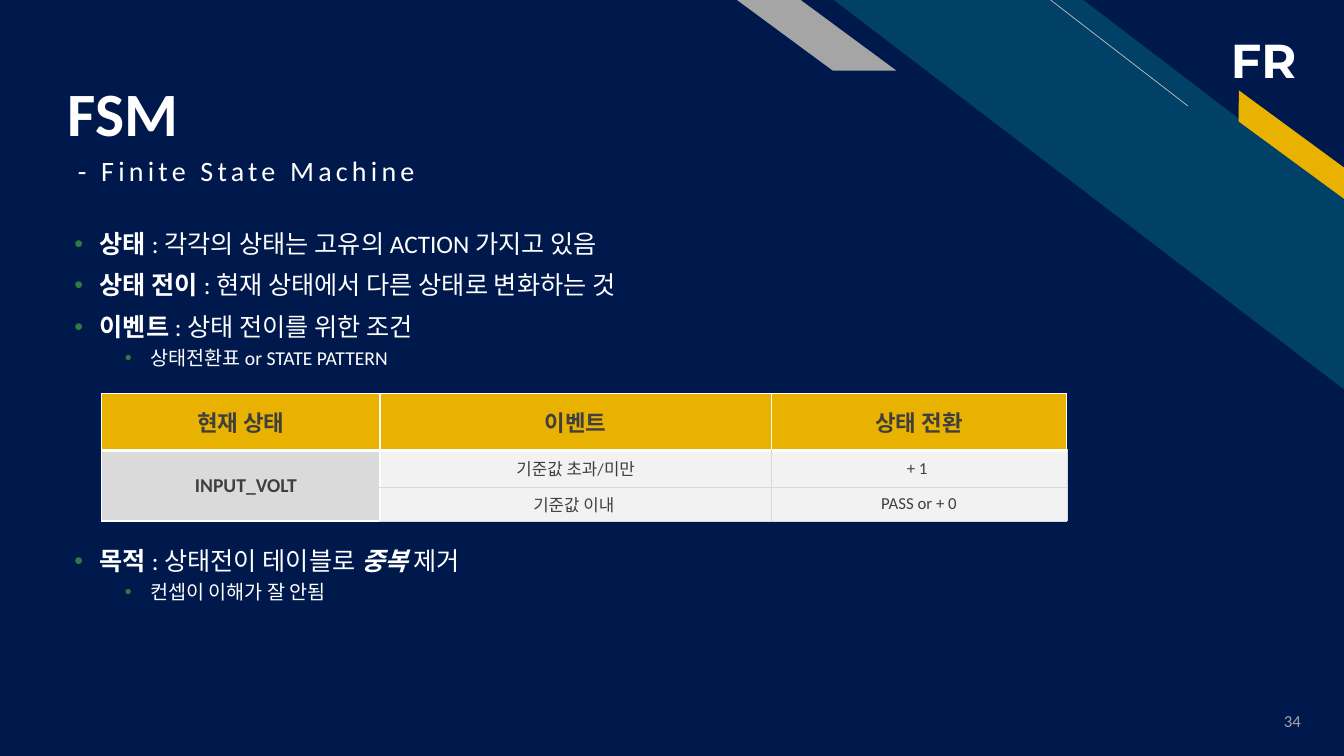
from lxml import etree
from pptx import Presentation
from pptx import util as u
from pptx.dml.color import RGBColor
from pptx.enum import shapes, text
from pptx.oxml.ns import qn

NAVY = RGBColor(0x00, 0x19, 0x4C)
TEAL = RGBColor(0x01, 0x40, 0x67)
GOLD = RGBColor(0xEA, 0xB2, 0x00)
SILVER = RGBColor(0xA5, 0xA5, 0xA5)
LINE_GRAY = RGBColor(0xBF, 0xBF, 0xBF)
BORDER_GRAY = RGBColor(0xD9, 0xD9, 0xD9)
STATE_GRAY = RGBColor(0xDA, 0xDA, 0xDA)
CELL_GRAY = RGBColor(0xF2, 0xF2, 0xF2)
DARK = RGBColor(0x3F, 0x3F, 0x3F)
GREEN = RGBColor(0x2E, 0x7A, 0x40)
WHITE = RGBColor(0xFF, 0xFF, 0xFF)

PRESETS = shapes.MSO_SHAPE
ALIGN = text.PP_ALIGN
ANCHOR = text.MSO_ANCHOR


def add_run(paragraph, words, size, color=WHITE, font="Calibri", bold=False,
            italic=False, tracking=None):
    run = paragraph.add_run()
    run.text = words
    run.font.size = u.Pt(size)
    run.font.name = font
    run.font.bold = bold
    run.font.italic = italic
    run.font.color.rgb = color
    if tracking:
        run.font._element.set("spc", str(tracking * 100))


def add_text_frame(slide, left, top, width, height, anchor=ANCHOR.TOP, wrap=True):
    box = slide.shapes.add_textbox(*map(u.Inches, (left, top, width, height)))
    frame = box.text_frame
    frame.word_wrap = wrap
    frame.vertical_anchor = anchor
    return frame


def add_band(slide, preset, left, top, width, height, color, adjustment, rotation=0):
    """Add a horizontally mirrored, slanted band."""
    band = slide.shapes.add_shape(preset, *map(u.Inches, (left, top, width, height)))
    band.adjustments[0] = adjustment
    band.rotation = rotation
    band.shadow.inherit = False
    band.fill.solid()
    band.fill.fore_color.rgb = color
    band.line.fill.background()
    band._element.spPr.find(qn("a:xfrm")).set("flipH", "1")


def add_corner(slide, left, top):
    """Draw the label and bands of the top right corner."""
    frame = add_text_frame(slide, left + 4.8, top + 0.26, 0.89, 0.67, wrap=False)
    add_run(frame.paragraphs[0], "FR", 34, font="Montserrat", bold=True)
    add_band(slide, PRESETS.DIAGONAL_STRIPE, left + 0.96, top, 5.07, 3.87, TEAL, 0.512)
    line = slide.shapes.add_connector(
        shapes.MSO_CONNECTOR.STRAIGHT,
        *map(u.Inches, (left + 4.47, top + 1.05, left + 3.11, top)))
    line.line.color.rgb = LINE_GRAY
    line.line.width = u.Pt(0.5)
    etree.SubElement(line._element.spPr, qn("a:effectLst"))
    add_band(slide, PRESETS.PARALLELOGRAM, left + 4.76, top + 1.31, 1.48, 0.25,
             GOLD, 0.72, rotation=36.3)
    add_band(slide, PRESETS.PARALLELOGRAM, left, top, 1.58, 0.7, SILVER, 1.356)


def add_heading(slide, left, top, width):
    title = slide.shapes.title
    title.left, title.top, title.width, title.height = map(
        u.Inches, (left, top, width, 1.26))
    frame = title.text_frame
    frame.vertical_anchor = ANCHOR.BOTTOM
    frame.margin_bottom = 0
    paragraph = frame.paragraphs[0]
    paragraph.alignment = ALIGN.LEFT
    paragraph.line_spacing = 0.9
    add_run(paragraph, "FSM", 44, bold=True)

    paragraph = add_text_frame(slide, left, top + 1.28, 8.06, 0.67).paragraphs[0]
    paragraph.line_spacing = 0.9
    add_run(paragraph, " - Finite State Machine", 20, tracking=3)


def add_bullets(slide, left, top, width, height, items):
    """Add bullets given as (level, [(words, format), ...])."""
    frame = add_text_frame(slide, left, top, width, height)
    for index, (level, runs) in enumerate(items):
        paragraph = frame.add_paragraph() if index else frame.paragraphs[0]
        properties = paragraph._element.get_or_add_pPr()
        properties.set("marL", str(u.Inches(0.25 + 0.5 * level)))
        properties.set("indent", str(-u.Inches(0.25)))
        bullet_color = etree.SubElement(properties, qn("a:buClr"))
        etree.SubElement(bullet_color, qn("a:srgbClr"), val=str(GREEN))
        etree.SubElement(properties, qn("a:buFont"), typeface="Arial")
        etree.SubElement(properties, qn("a:buChar"), char="•")
        paragraph.level = level
        paragraph.line_spacing = 0.9
        if index:
            paragraph.space_before = u.Pt(5 if level else 10)
        for words, style in runs:
            add_run(paragraph, words, 14 if level else 18, **style)


def set_borders(cell, **borders):
    """Set borders given as side=(color, points), sides in the order L, R, T, B."""
    properties = cell._tc.get_or_add_tcPr()
    for position, (side, (color, points)) in enumerate(borders.items()):
        line = etree.Element(qn(f"a:ln{side}"), w=str(u.Pt(points)))
        fill = etree.SubElement(line, qn("a:solidFill"))
        etree.SubElement(fill, qn("a:srgbClr"), val=str(color))
        properties.insert(position, line)


def fill_cell(cell, words, row, column):
    header, state = row == 0, column == 0
    cell.fill.solid()
    cell.fill.fore_color.rgb = GOLD if header else STATE_GRAY if state else CELL_GRAY
    cell.vertical_anchor = ANCHOR.MIDDLE
    if words:
        paragraph = cell.text_frame.paragraphs[0]
        paragraph.alignment = ALIGN.CENTER
        size = 16 if header else 14 if state else 12
        add_run(paragraph, words, size, DARK, bold=header or state)

    white, thick, gray = (WHITE, 1), (WHITE, 3), (BORDER_GRAY, 0.25)
    inner = white if header or state else gray
    set_borders(cell,
                L=white if column == 1 else inner,
                R=inner,
                T=thick if row == 1 else inner,
                B=thick if header else inner)


def add_state_table(slide, left, top):
    rows = [("현재 상태", "이벤트", "상태 전환"),
            ("INPUT_VOLT", "기준값 초과/미만", "+ 1 "),
            ("", "기준값 이내 ", "PASS or + 0")]
    widths, heights = (2.76, 3.88, 2.93), (0.57, 0.36, 0.34)
    table = slide.shapes.add_table(
        len(rows), len(widths),
        *map(u.Inches, (left, top, sum(widths), sum(heights)))).table
    table.first_row = table.horz_banding = False
    for column, width in zip(table.columns, widths):
        column.width = u.Inches(width)
    for row, height in zip(table.rows, heights):
        row.height = u.Inches(height)
    for row, entries in enumerate(rows):
        for column, words in enumerate(entries):
            fill_cell(table.cell(row, column), words, row, column)
    state = table.cell(1, 0)
    state.margin_left = u.Inches(0.2)
    state.merge(table.cell(2, 0))


def add_page_number(slide, left, top):
    frame = add_text_frame(slide, left, top, 0.81, 0.4, anchor=ANCHOR.MIDDLE)
    frame.paragraphs[0].alignment = ALIGN.RIGHT
    add_run(frame.paragraphs[0], "34", 12, SILVER)


def main():
    presentation = Presentation()
    presentation.slide_width = u.Inches(13.33)
    presentation.slide_height = u.Inches(7.5)
    slide = presentation.slides.add_slide(presentation.slide_layouts[5])
    slide.background.fill.solid()
    slide.background.fill.fore_color.rgb = NAVY

    add_corner(slide, 7.31, 0)
    add_heading(slide, 0.57, 0.23, 9.11)
    bold = {"bold": True}
    add_bullets(slide, 0.64, 2.25, 10.71, 1.55, [
        (0, [("상태 ", bold), (": 각각의 상태는 고유의 ACTION 가지고 있음", {})]),
        (0, [("상태 전이 ", bold), (": 현재 상태에서 다른 상태로 변화하는 것", {})]),
        (0, [("이벤트 ", bold), (": 상태 전이를 위한 조건", {})]),
        (1, [("상태전환표 or STATE PATTERN", {})]),
    ])
    add_state_table(slide, 1.01, 3.9)
    add_bullets(slide, 0.64, 5.39, 10.71, 1.09, [
        (0, [("목적 ", bold), (": 상태전이 테이블로 ", {}),
             ("중복", {"bold": True, "italic": True}), (" 제거", {})]),
        (1, [("컨셉이 이해가 잘 안됨", {})]),
    ])
    add_page_number(slide, 12.19, 6.95)
    presentation.save("out.pptx")


if __name__ == "__main__":
    main()
